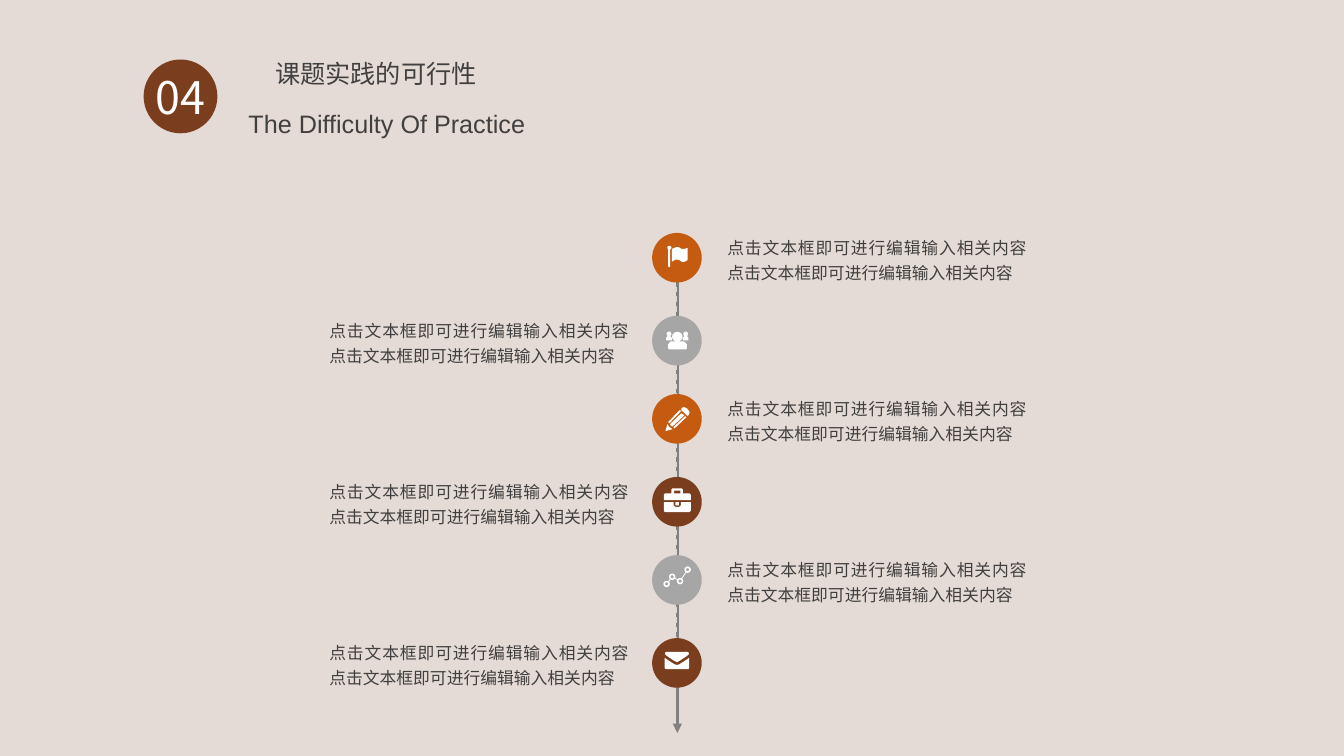
import math

import pptx
import pptx.dml.color
import pptx.enum.dml
import pptx.enum.shapes
import pptx.enum.text
import pptx.oxml
import pptx.oxml.ns
import pptx.util
from lxml import etree

Cm, Pt = pptx.util.Cm, pptx.util.Pt
Align, Anchor = pptx.enum.text.PP_ALIGN, pptx.enum.text.MSO_ANCHOR
AutoSize = pptx.enum.text.MSO_AUTO_SIZE
OVAL = pptx.enum.shapes.MSO_SHAPE.OVAL
STRAIGHT = pptx.enum.shapes.MSO_CONNECTOR.STRAIGHT

# Content
NUMBER = "04"
TITLE = "课题实践的可行性"
SUBTITLE = "The Difficulty Of Practice"
STEP_TEXT = "点击文本框即可进行编辑输入相关内容" * 2
BROWN, ORANGE, SILVER = "7A3E1F", "C55A11", "A6A6A6"
BACKGROUND, INK, WHITE = "E4DBD6", "404040", "FFFFFF"
AXIS_GREY, DASH_GREY = "808080", "D9D9D9"
CJK, LATIN = "Noto Sans CJK SC", "Arial"


# Icon outlines: contours in 0.01 cm from the centre of their circle
def disc(x, y, radius_x, radius_y=None):
    radius_y = radius_y or radius_x
    angles = [math.tau * i / 24 for i in range(24)]
    return [(x + radius_x * math.cos(a), y + radius_y * math.sin(a)) for a in angles]


def link(start, end, gap=8, half_width=1):
    (x1, y1), (x2, y2) = start, end
    length = math.hypot(x2 - x1, y2 - y1)
    ux, uy = (x2 - x1) / length, (y2 - y1) / length
    corners = [(gap, -1), (length - gap, -1), (length - gap, 1), (gap, 1)]
    return [(x1 + ux * along - uy * side * half_width,
             y1 + uy * along + ux * side * half_width) for along, side in corners]


def side_person(x):
    body = [(-7, -1), (-7, -7), (-4, -11), (4, -11), (7, -7), (7, -1)]
    return [disc(x, -17, 6), [(x + dx, y) for dx, y in body]]


FLAG = [
    [(-24, -27), (-22, -30), (-17, -30), (-14, -27), (-14, -24), (-17, -21),
     (-17, 22), (-19, 24), (-22, 22), (-22, -21), (-24, -24)],
    [(-13, -22), (-6, -25), (0, -27), (6, -26), (12, -22), (18, -22), (27, -25),
     (27, 6), (20, 10), (14, 11), (8, 7), (2, 5), (-4, 5), (-13, 10)],
]
PEOPLE = [
    *side_person(-20), *side_person(22), disc(1, -10, 13, 12),
    [(-22, 20), (-22, 9), (-16, 2), (18, 2), (25, 9), (25, 20), (22, 22), (-19, 22)],
]
PENCIL = [
    [(29, -9), (27, -7), (11, -22), (11, -27), (18, -30), (24, -27), (29, -22), (32, -16)],
    [(-9, 21), (-6, 24), (24, -4), (21, -7)],
    [(-22, 8), (-19, 11), (11, -20), (7, -22)],
    [(11, -14), (-17, 13), (-15, 18), (-11, 19), (19, -9)],
    [(-11, 26), (-14, 24), (-19, 21), (-22, 16), (-24, 13), (-29, 31)],
]
BRIEFCASE = [
    [(-33, -4), (-33, -18), (-30, -21), (-14, -21), (-14, -31), (-11, -34),
     (12, -34), (15, -31), (15, -21), (32, -21), (35, -18), (35, -4)],
    [(-7, -21), (9, -21), (9, -28), (-7, -28)],
    [(-33, 1), (-8, 1), (-8, 9), (-4, 13), (6, 13), (10, 9), (10, 1),
     (35, 1), (35, 23), (32, 26), (-30, 26), (-33, 23)],
    [(-4, 1), (5, 1), (5, 9), (-4, 9)],
]
NODES = [(-26, 10), (-12, -8), (8, 3), (27, -26)]
TREND = [disc(x, y, r) for x, y in NODES for r in (8, 4)]
TREND += [link(a, b) for a, b in zip(NODES, NODES[1:])]
MAIL = [
    [(-31, -13), (-24, -8), (-10, 1), (-5, 4), (0, 5), (5, 4), (10, 1), (24, -8),
     (31, -13), (31, 13), (28, 16), (-28, 16), (-31, 13)],
    [(-30, -25), (-27, -28), (27, -28), (30, -25), (30, -22), (26, -18), (8, -6),
     (0, -2), (-8, -6), (-26, -18), (-30, -22)],
]
STEPS = [(ORANGE, FLAG), (SILVER, PEOPLE), (ORANGE, PENCIL),
         (BROWN, BRIEFCASE), (SILVER, TREND), (BROWN, MAIL)]

# Layout in cm
AXIS_X, DIAMETER = 17.06, 1.25
FIRST_TOP, PAIR_STEP, LEFT_SHIFT = 5.87, 4.06, 2.09
TEXT_LEFTS = (18.08, 8.05)
TEXT_WIDTH, TEXT_HEIGHT, TEXT_RISE = 8.05, 1.52, 0.14


def rgb(value):
    return pptx.dml.color.RGBColor.from_string(value)


def paint(shape, color):
    shape.shadow.inherit = False
    shape.fill.solid()
    shape.fill.fore_color.rgb = rgb(color)
    shape.line.fill.background()


def write(shape, text, size, color, font, align=Align.CENTER, anchor=Anchor.MIDDLE):
    frame = shape.text_frame
    frame.text = text
    frame.word_wrap = True
    frame.vertical_anchor = anchor
    frame.auto_size = AutoSize.NONE
    paragraph = frame.paragraphs[0]
    paragraph.alignment = align
    run = paragraph.runs[0]
    run.font.size = Pt(size)
    run.font.color.rgb = rgb(color)
    run.font.name = font
    east_asian = etree.SubElement(run.font._element, pptx.oxml.ns.qn("a:ea"))
    east_asian.set("typeface", font)
    return paragraph


def add_axis(shapes, x, top, bottom, color, width):
    axis = shapes.add_connector(STRAIGHT, Cm(x), Cm(top), Cm(x), Cm(bottom))
    axis.line.color.rgb = rgb(color)
    axis.line.width = Pt(width)
    etree.SubElement(axis._element.spPr, pptx.oxml.ns.qn("a:effectLst"))
    return axis


def add_circle(shapes, left, top, diameter, color):
    circle = shapes.add_shape(OVAL, Cm(left), Cm(top), Cm(diameter), Cm(diameter))
    paint(circle, color)
    return circle


def add_icon(shapes, x, y, contours):
    fine = [[(px * 10, py * 10) for px, py in contour] for contour in contours]
    builder = shapes.build_freeform(*fine[0][0], scale=Cm(0.001))
    for index, contour in enumerate(fine):
        if index:
            builder.move_to(*contour[0])
        builder.add_line_segments(contour[1:], close=True)
    paint(builder.convert_to_shape(Cm(x), Cm(y)), WHITE)


def main():
    deck = pptx.Presentation()
    deck.slide_width, deck.slide_height = Cm(33.87), Cm(19.05)
    slide = deck.slides.add_slide(deck.slide_layouts[5])
    slide.background.fill.solid()
    slide.background.fill.fore_color.rgb = rgb(BACKGROUND)
    shapes = slide.shapes

    # Heading
    badge = add_circle(shapes, 3.62, 1.5, 1.86, BROWN)
    write(badge, NUMBER, 32, WHITE, CJK)
    badge.text_frame.word_wrap = False
    title = shapes.title
    title.left, title.top, title.width, title.height = Cm(2.59), Cm(1.35), Cm(13.77), Cm(1.02)
    write(title, TITLE, 18, INK, CJK)
    subtitle = shapes.add_textbox(Cm(2.78), Cm(2.59), Cm(13.94), Cm(1.02))
    write(subtitle, SUBTITLE, 18, INK, LATIN)

    # Timeline axis
    arrow = add_axis(shapes, 17.07, FIRST_TOP, 18.47, AXIS_GREY, 2.25)
    tail = etree.SubElement(arrow.line._get_or_add_ln(), pptx.oxml.ns.qn("a:tailEnd"))
    tail.set("type", "triangle")
    dashes = add_axis(shapes, 17.04, 6.73, 16.43, DASH_GREY, 1)
    dashes.line.dash_style = pptx.enum.dml.MSO_LINE.DASH

    # Steps, alternating right and left of the axis
    for index, (color, icon) in enumerate(STEPS):
        pair, side = divmod(index, 2)
        top = FIRST_TOP + pair * PAIR_STEP + side * LEFT_SHIFT
        add_circle(shapes, AXIS_X - DIAMETER / 2, top, DIAMETER, color)
        add_icon(shapes, AXIS_X, top + DIAMETER / 2, icon)
        note = shapes.add_textbox(Cm(TEXT_LEFTS[side]), Cm(top - TEXT_RISE),
                                  Cm(TEXT_WIDTH), Cm(TEXT_HEIGHT))
        paragraph = write(note, STEP_TEXT, 12, INK, CJK, Align.JUSTIFY, Anchor.TOP)
        paragraph.line_spacing = 1.25
        note.text_frame.auto_size = AutoSize.SHAPE_TO_FIT_TEXT

    deck.save("out.pptx")


if __name__ == "__main__":
    main()
